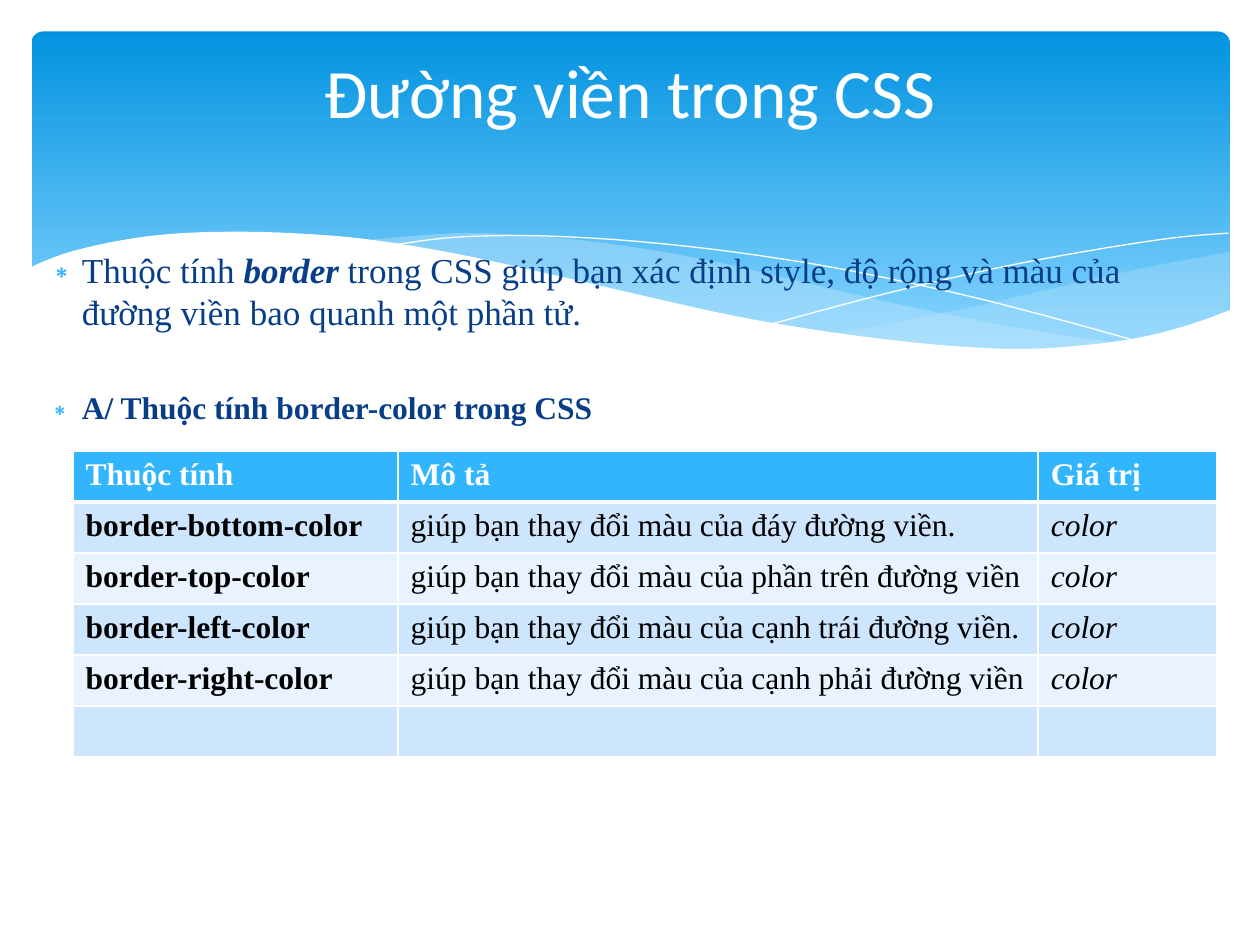
import pptx
import pptx.util
import pptx.dml.color
import pptx.enum.shapes
import pptx.enum.text
import pptx.oxml
import pptx.oxml.ns
import lxml.etree

Inches, Pt = pptx.util.Inches, pptx.util.Pt
RGB = pptx.dml.color.RGBColor
qn = pptx.oxml.ns.qn

WHITE = RGB(0xFF, 0xFF, 0xFF)
BLACK = RGB(0, 0, 0)
NAVY = RGB(0x07, 0x3E, 0x87)
SKY = RGB(0x31, 0xB6, 0xFD)
DEEP = RGB(0x02, 0x93, 0xE0)
LIGHT = RGB(0x83, 0xD3, 0xFE)
MIST = RGB(0xC6, 0xE7, 0xFC)
BANDS = [RGB(0xE8, 0xF3, 0xFF), RGB(0xCE, 0xE5, 0xFE)]
SERIF = "Times New Roman"

TITLE = "Đường viền trong CSS"
POINTS = [
    (20, 4, [("Thuộc tính\u00a0", False, False), ("border", True, True),
             ("\u00a0trong CSS giúp bạn xác định style, độ rộng và màu của "
              "đường viền bao quanh một phần tử.", False, False)]),
    (18, 32, [("A/ Thuộc tính border-color trong CSS", True, False)]),
]
HEAD = ("Thuộc tính", "Mô tả", "Giá trị")
ROWS = [
    HEAD,
    ("border-bottom-color", "giúp bạn thay đổi màu của đáy đường viền.", "color"),
    ("border-top-color", "giúp bạn thay đổi màu của phần trên đường viền", "color"),
    ("border-left-color", "giúp bạn thay đổi màu của cạnh trái đường viền.", "color"),
    ("border-right-color", "giúp bạn thay đổi màu của cạnh phải đường viền", "color"),
    ("", "", ""),
]
COLS = (2.58, 5.08, 1.42)
ROW_H = 0.405

WAVES = [
    (MIST, 29, [
        [(9.76, 2), (9.21, 2.1), (8.61, 2.23), (7.79, 2.42), (7.06, 2.57), (6.61, 2.65)],
        [(6.61, 2.65), (7.05, 2.71), (7.57, 2.76), (8.03, 2.78), (8.54, 2.76),
         (8.97, 2.7), (9.35, 2.62), (9.76, 2.47)]]),
    (MIST, 40, [
        [(8.93, 2.73), (8.37, 2.65), (7.75, 2.54), (7.06, 2.4), (6.29, 2.22), (5.69, 2.08),
         (5.14, 1.98), (4.65, 1.91), (4.2, 1.87), (3.8, 1.85), (3.44, 1.86), (2.86, 1.91)],
        [(2.86, 1.91), (3.42, 1.99), (4.04, 2.11), (4.49, 2.22), (5.3, 2.4), (6.01, 2.55),
         (6.65, 2.66), (7.22, 2.74), (7.73, 2.77), (8.18, 2.78), (8.57, 2.77), (8.93, 2.73)]]),
    (None, 100, [
        [(3.09, 1.95), (3.53, 1.89), (4.01, 1.87), (4.5, 1.88), (5.1, 1.92), (5.82, 2),
         (6.65, 2.13), (7.6, 2.33), (8.31, 2.51), (9.07, 2.72)]]),
    (None, 100, [
        [(6.13, 2.57), (6.95, 2.35), (7.76, 2.16), (8.36, 2.04), (8.95, 1.94),
         (9.38, 1.88), (9.75, 1.85)]]),
    (WHITE, 100, [
        [(9.77, 2.46), (9.4, 2.59), (8.99, 2.69), (8.5, 2.75), (8.09, 2.77), (7.61, 2.75),
         (7.08, 2.7), (6.48, 2.62), (5.79, 2.5), (5.03, 2.33), (4.47, 2.2), (3.65, 2.02),
         (2.92, 1.9), (2.3, 1.85), (1.77, 1.84), (1.32, 1.86), (0.95, 1.91), (0.59, 1.99),
         (0.36, 2.07), (0.23, 2.13)],
        [(0.23, 3.29), (9.77, 3.29)]]),
]


def smooth(knots, steps=6):
    ends = [knots[0]] + knots + [knots[-1]]
    out = [knots[0]]
    for a, b, c, d in zip(ends, ends[1:], ends[2:], ends[3:]):
        for n in range(1, steps + 1):
            t = n / steps
            out.append(tuple(
                b[k] + 0.5 * t * (c[k] - a[k]
                + t * (2 * a[k] - 5 * b[k] + 4 * c[k] - d[k]
                + t * (3 * (b[k] - c[k]) + d[k] - a[k]))) for k in (0, 1)))
    return out


def draw_wave(color, alpha, curves):
    dots = [(Inches(x), Inches(y)) for curve in curves for x, y in smooth(curve)]
    pen = slide.shapes.build_freeform(*dots[0])
    pen.add_line_segments(dots[1:], close=color is not None)
    wave = pen.convert_to_shape()
    wave.shadow.inherit = False
    if color is None:
        wave.fill.background()
        wave.line.color.rgb = WHITE
        wave.line.width = Pt(0)
        return
    wave.fill.solid()
    wave.fill.fore_color.rgb = color
    wave.line.fill.background()
    if alpha < 100:
        tint = wave.fill._xPr.find(qn("a:solidFill"))[0]
        lxml.etree.SubElement(tint, qn("a:alpha"), val=str(alpha * 1000))


def add_run(para, text, size, font, color, bold=False, slant=False):
    run = para.add_run()
    run.text = text
    run.font.size = Pt(size)
    run.font.name = font
    run.font.color.rgb = color
    run.font.bold = bold
    run.font.italic = slant


def place(shape, left, top, width, height):
    shape.left, shape.top = Inches(left), Inches(top)
    shape.width, shape.height = Inches(width), Inches(height)
    slide.shapes._spTree.append(shape._element)
    frame = shape.text_frame
    frame.word_wrap = True
    frame.auto_size = pptx.enum.text.MSO_AUTO_SIZE.NONE
    frame.vertical_anchor = pptx.enum.text.MSO_ANCHOR.TOP
    return frame


def add_bullet(para):
    props = para._p.get_or_add_pPr()
    props.set("marL", str(Inches(0.3)))
    props.set("indent", str(-Inches(0.3)))
    tint = lxml.etree.SubElement(props, qn("a:buClr"))
    lxml.etree.SubElement(tint, qn("a:srgbClr"), val=str(SKY))
    lxml.etree.SubElement(props, qn("a:buChar"), char="∗")


def add_edges(cell, base):
    props = cell._tc.get_or_add_tcPr()
    for side, width in (("L", 1), ("R", 1), ("T", 1), ("B", base)):
        edge = lxml.etree.SubElement(props, qn("a:ln" + side), w=str(Pt(width)))
        fill = lxml.etree.SubElement(edge, qn("a:solidFill"))
        lxml.etree.SubElement(fill, qn("a:srgbClr"), val=str(WHITE))


deck = pptx.Presentation()
deck.slide_width, deck.slide_height = Inches(10), Inches(7.5)
slide = deck.slides.add_slide(deck.slide_layouts[1])

panel = slide.shapes.add_shape(
    pptx.enum.shapes.MSO_SHAPE.ROUNDED_RECTANGLE,
    Inches(0.25), Inches(0.25), Inches(9.51), Inches(2.7))
panel.adjustments[0] = 0.034
panel.shadow.inherit = False
panel.line.fill.background()
panel.fill.gradient()
panel.fill.gradient_angle = 270
for stop, spot, color in zip(panel.fill.gradient_stops, (0, 0.9), (DEEP, LIGHT)):
    stop.position = spot
    stop.color.rgb = color

for wave in WAVES:
    draw_wave(*wave)

body = place(slide.placeholders[1], 0.25, 1.92, 9.5, 4.78)
for n, (size, gap, runs) in enumerate(POINTS):
    para = body.add_paragraph() if n else body.paragraphs[0]
    para.space_before = Pt(gap)
    add_bullet(para)
    for text, bold, slant in runs:
        add_run(para, text, size, SERIF, NAVY, bold, slant)

title = place(slide.shapes.title, 0.5, 0.37, 9, 1.37)
title.margin_top = Inches(0.02)
title.paragraphs[0].alignment = pptx.enum.text.PP_ALIGN.CENTER
add_run(title.paragraphs[0], TITLE, 39.6, "Calibri", WHITE)

table = slide.shapes.add_table(
    len(ROWS), len(COLS), Inches(0.58), Inches(3.58),
    Inches(sum(COLS)), Inches(ROW_H * len(ROWS))).table
for col, width in zip(table.columns, COLS):
    col.width = Inches(width)
for r, row in enumerate(ROWS):
    table.rows[r].height = Inches(ROW_H)
    for c, text in enumerate(row):
        cell = table.cell(r, c)
        add_edges(cell, 1 if r else 3)
        cell.fill.solid()
        cell.fill.fore_color.rgb = BANDS[r % 2] if r else SKY
        if text:
            add_run(cell.text_frame.paragraphs[0], text, 18, SERIF,
                    BLACK if r else WHITE, r == 0 or c == 0, r > 0 and c == 2)

deck.save("out.pptx")
